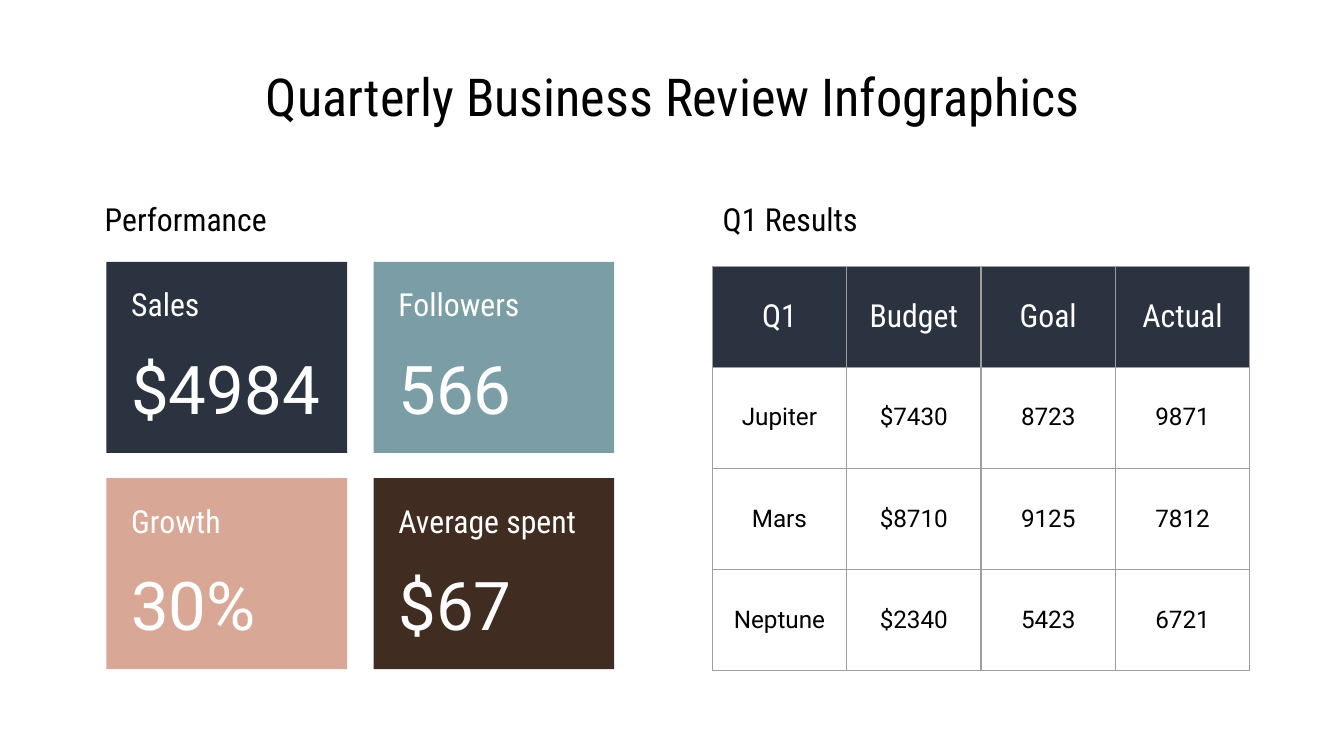
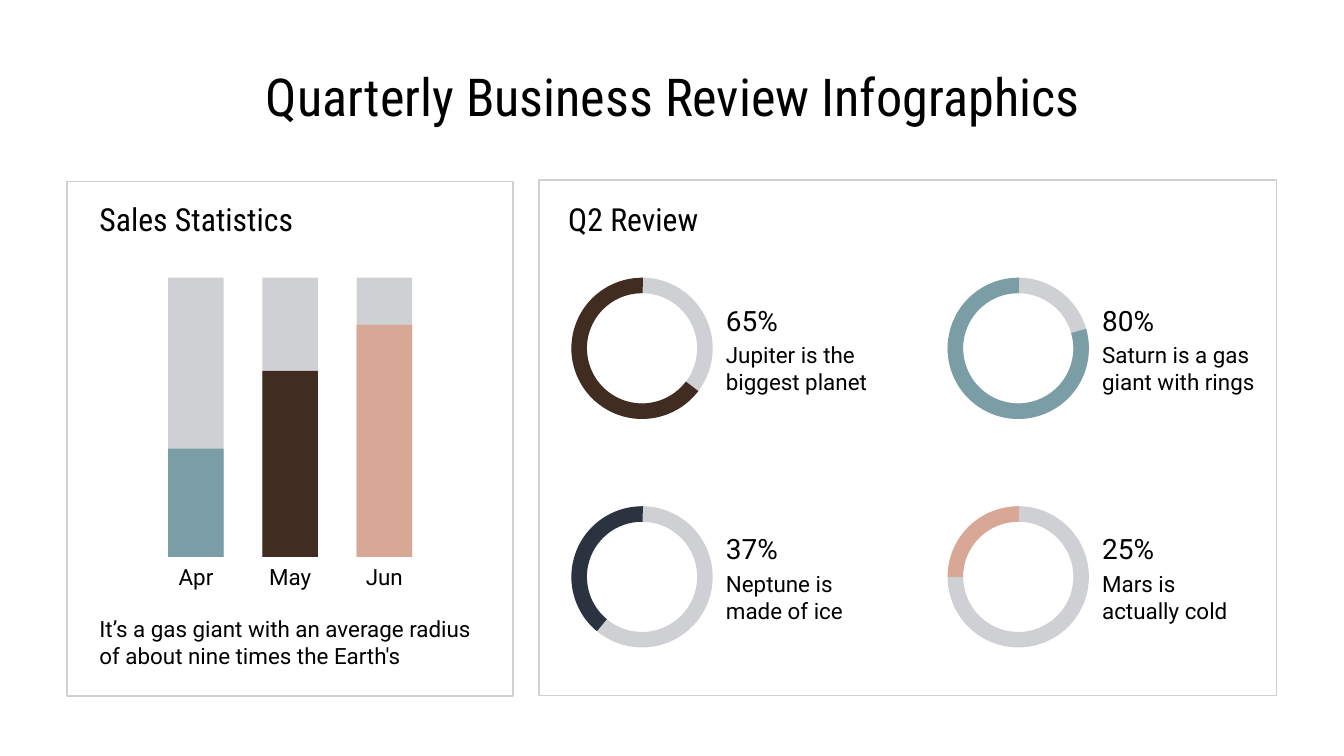
from dataclasses import dataclass

from lxml import etree
from pptx import Presentation
from pptx import util as u
from pptx.dml.color import RGBColor
from pptx.enum import shapes, text
from pptx.oxml.ns import qn


@dataclass(frozen=True)
class Theme:
    navy: str = "2C3340"
    teal: str = "7B9EA6"
    rose: str = "D9A796"
    brown: str = "402C21"
    grey: str = "CFD0D3"
    border: str = "9E9E9E"
    black: str = "000000"
    white: str = "FFFFFF"
    display: str = "Roboto Condensed"
    body: str = "Roboto"
    title_size: float = 28
    heading_size: float = 17
    figure_size: float = 36
    percent_size: float = 15
    cell_size: float = 13
    body_size: float = 12
    panel_line: float = 0.83
    cell_line: float = 0.75
    inset: float = 0.25


THEME = Theme()
LEFT, CENTER = text.PP_ALIGN.LEFT, text.PP_ALIGN.CENTER
TITLE = "Quarterly Business Review Infographics"

CARDS = [
    [("Sales", "$4984", THEME.navy), ("Followers", "566", THEME.teal)],
    [("Growth", "30%", THEME.rose), ("Average spent", "$67", THEME.brown)],
]
RESULTS = [
    ["Q1", "Budget", "Goal", "Actual"],
    ["Jupiter", "$7430", "8723", "9871"],
    ["Mars", "$8710", "9125", "7812"],
    ["Neptune", "$2340", "5423", "6721"],
]
# month, height of the filled part in cm, colour
MONTHS = [
    ("Apr", 2.05, THEME.teal),
    ("May", 3.52, THEME.brown),
    ("Jun", 4.39, THEME.rose),
]
# percentage, statement, angle where the arc ends, colour
RINGS = [
    [("65%", "Jupiter is the biggest planet", 142.8, THEME.brown),
     ("80%", "Saturn is a gas giant with rings", 196.1, THEME.teal)],
    [("37%", "Neptune is made of ice", 50.3, THEME.navy),
     ("25%", "Mars is actually cold", 0, THEME.rose)],
]
ARC_START = 269.33
TRACK_ANGLES = (359.95, 273.46)
RING_THICKNESS = 0.11


def lengths(*values):
    return [u.Cm(value) for value in values]


def style_text(frame, size, font, color, align):
    frame.vertical_anchor = text.MSO_ANCHOR.MIDDLE
    for para in frame.paragraphs:
        para.alignment = align
        for span in para.runs:
            span.font.size = u.Pt(size)
            span.font.name = font
            span.font.color.rgb = RGBColor.from_string(color)


def fill_frame(frame, words, size, font, color, align):
    frame.text = words
    frame.word_wrap = True
    frame.auto_size = text.MSO_AUTO_SIZE.NONE
    frame.margin_left = frame.margin_right = u.Cm(THEME.inset)
    frame.margin_top = frame.margin_bottom = u.Cm(THEME.inset)
    style_text(frame, size, font, color, align)


def add_label(page, box, words, size=THEME.body_size, font=THEME.body,
              color=THEME.black, align=LEFT):
    label = page.shapes.add_textbox(*lengths(*box))
    fill_frame(label.text_frame, words, size, font, color, align)


def add_heading(page, box, words, color=THEME.black):
    add_label(page, box, words, THEME.heading_size, THEME.display, color)


def add_block(owner, box, color, kind=shapes.MSO_SHAPE.RECTANGLE):
    """Add a filled shape without outline to a page or a group."""
    block = owner.shapes.add_shape(kind, *lengths(*box))
    block.shadow.inherit = False
    block.fill.solid()
    block.fill.fore_color.rgb = RGBColor.from_string(color)
    block.line.fill.background()
    return block


def add_panel(page, box):
    """Add an unfilled rectangle with a thin outline."""
    panel = page.shapes.add_shape(shapes.MSO_SHAPE.RECTANGLE, *lengths(*box))
    panel.shadow.inherit = False
    panel.fill.background()
    panel.line.color.rgb = RGBColor.from_string(THEME.grey)
    panel.line.width = u.Pt(THEME.panel_line)


def add_page(deck):
    page = deck.slides.add_slide(deck.slide_layouts[5])
    title = page.shapes.title
    title.left, title.top, title.width, title.height = lengths(1.98, 1.14, 21.46, 1.35)
    fill_frame(title.text_frame, TITLE, THEME.title_size, THEME.display,
               THEME.black, CENTER)
    return page


def add_card(page, box, name, figure, color):
    left, top, width, height = box
    add_block(page, box, color)
    text_left, text_width = left + 0.22, width - 0.44
    add_heading(page, (text_left, top + 0.43, text_width, 0.74), name, THEME.white)
    add_label(page, (text_left, top + 1.57, text_width, 1.6), figure,
              THEME.figure_size, color=THEME.white)


def add_performance(page, left, top):
    add_heading(page, (left, top, 9.3, 0.74), "Performance")
    for row, cards in enumerate(CARDS):
        for column, card in enumerate(cards):
            box = (left + 0.28 + column * 5.05, top + 1.19 + row * 4.09, 4.55, 3.61)
            add_card(page, box, *card)


def add_cell_borders(cell):
    properties = cell._tc.get_or_add_tcPr()
    for side in ("lnL", "lnR", "lnT", "lnB"):
        line = etree.SubElement(properties, qn(f"a:{side}"),
                                w=str(u.Pt(THEME.cell_line)))
        paint = etree.SubElement(line, qn("a:solidFill"))
        etree.SubElement(paint, qn("a:srgbClr"), val=THEME.border)


def add_results(page, left, top):
    add_heading(page, (left, top, 9.3, 0.74), "Q1 Results")
    rows, columns = len(RESULTS), len(RESULTS[0])
    frame = page.shapes.add_table(
        rows, columns,
        *lengths(left + 0.05, top + 1.27, columns * 2.54, rows * 1.91))
    table = frame.table
    table.first_row = table.horz_banding = False
    for row, values in enumerate(RESULTS):
        for column, value in enumerate(values):
            cell = table.cell(row, column)
            cell.text = value
            cell.vertical_anchor = text.MSO_ANCHOR.MIDDLE
            cell.margin_left = cell.margin_right = u.Cm(THEME.inset)
            cell.margin_top = cell.margin_bottom = u.Cm(THEME.inset)
            add_cell_borders(cell)
            if row == 0:
                cell.fill.solid()
                cell.fill.fore_color.rgb = RGBColor.from_string(THEME.navy)
                look = (THEME.heading_size, THEME.display, THEME.white)
            else:
                cell.fill.background()
                look = (THEME.cell_size, THEME.body, THEME.black)
            style_text(cell.text_frame, *look, CENTER)


def add_month(page, left, top, name, filled, color):
    width, height = 1.05, 5.28
    bar = page.shapes.add_group_shape()
    add_block(bar, (left, top, width, height), THEME.grey)
    add_block(bar, (left, top + height - filled, width, filled), color)
    add_label(page, (left - 0.22, top + 5.37, width + 0.44, 0.56), name, align=CENTER)


def add_sales(page, left, top, width, height):
    add_panel(page, (left, top, width, height))
    add_heading(page, (left + 0.36, top + 0.36, 4.4, 0.71), "Sales Statistics")
    for column, month in enumerate(MONTHS):
        add_month(page, left + 1.91 + column * 1.78, top + 1.82, *month)
    add_label(page, (left + 0.36, top + 8.15, width - 0.78, 1.12),
              "It’s a gas giant with an average radius of about nine times the Earth's")


def add_arc(group, box, start, end, color):
    """Add a mirrored block arc between two angles in degrees."""
    arc = add_block(group, box, color, shapes.MSO_SHAPE.BLOCK_ARC)
    arc.adjustments[0] = start * 0.6
    arc.adjustments[1] = end * 0.6
    arc.adjustments[2] = RING_THICKNESS
    arc._element.spPr.get_or_add_xfrm().set("flipH", "1")


def add_ring(page, left, top, percent, statement, end, color):
    size, text_width = 2.67, 3.42
    ring = page.shapes.add_group_shape()
    box = (left, top, size, size)
    add_arc(ring, box, *TRACK_ANGLES, THEME.grey)
    add_arc(ring, box, ARC_START, end, color)
    add_label(page, (left + size, top + 0.43, text_width, 0.74), percent,
              THEME.percent_size)
    add_label(page, (left + size, top + 1.22, text_width, 0.99), statement)


def add_review(page, left, top, width, height):
    add_panel(page, (left, top, width, height))
    add_heading(page, (left + 0.3, top + 0.38, 4.4, 0.71), "Q2 Review")
    for row, rings in enumerate(RINGS):
        for column, ring in enumerate(rings):
            add_ring(page, left + 0.61 + column * 7.11, top + 1.85 + row * 4.32, *ring)


def main():
    deck = Presentation()
    deck.slide_width, deck.slide_height = lengths(25.4, 14.29)

    first_quarter = add_page(deck)
    add_performance(first_quarter, 1.73, 3.76)
    add_results(first_quarter, 13.41, 3.76)

    second_quarter = add_page(deck)
    add_sales(second_quarter, 1.27, 3.43, 8.43, 9.73)
    add_review(second_quarter, 10.19, 3.4, 13.94, 9.75)

    deck.save("out.pptx")


if __name__ == "__main__":
    main()
